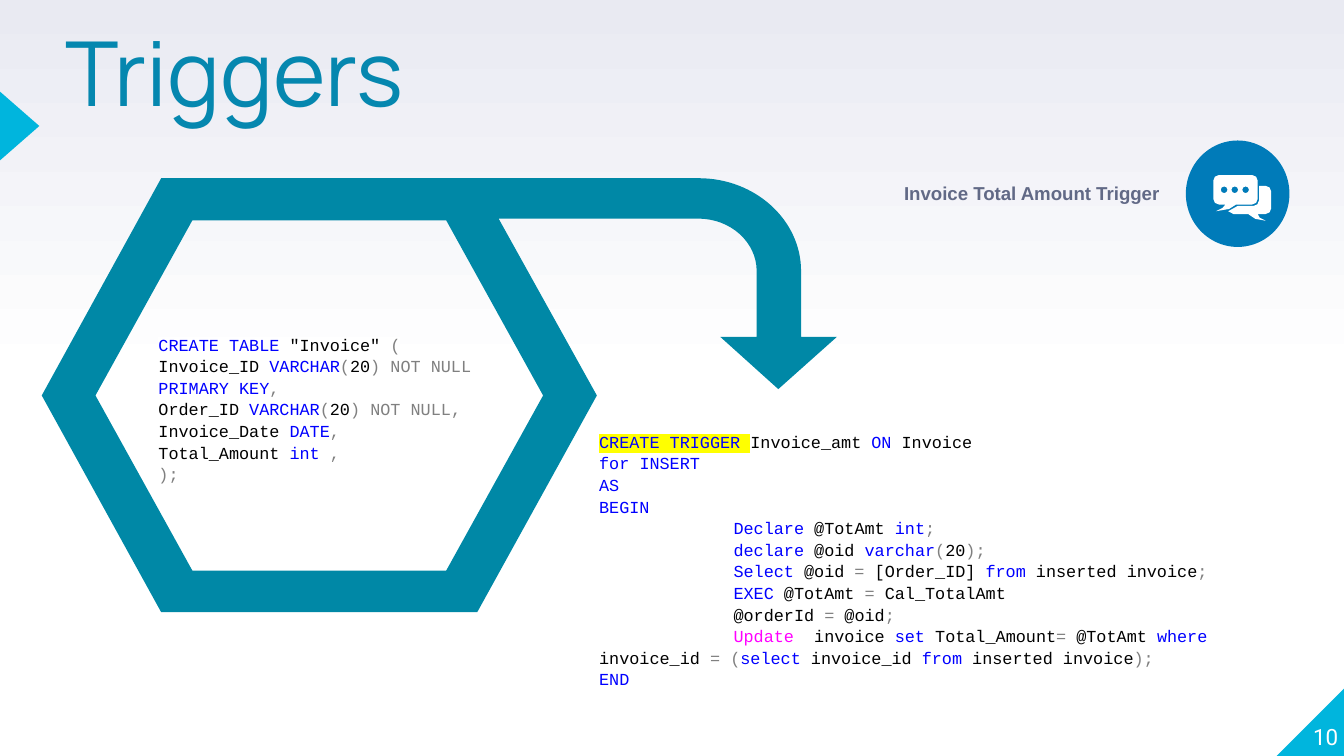
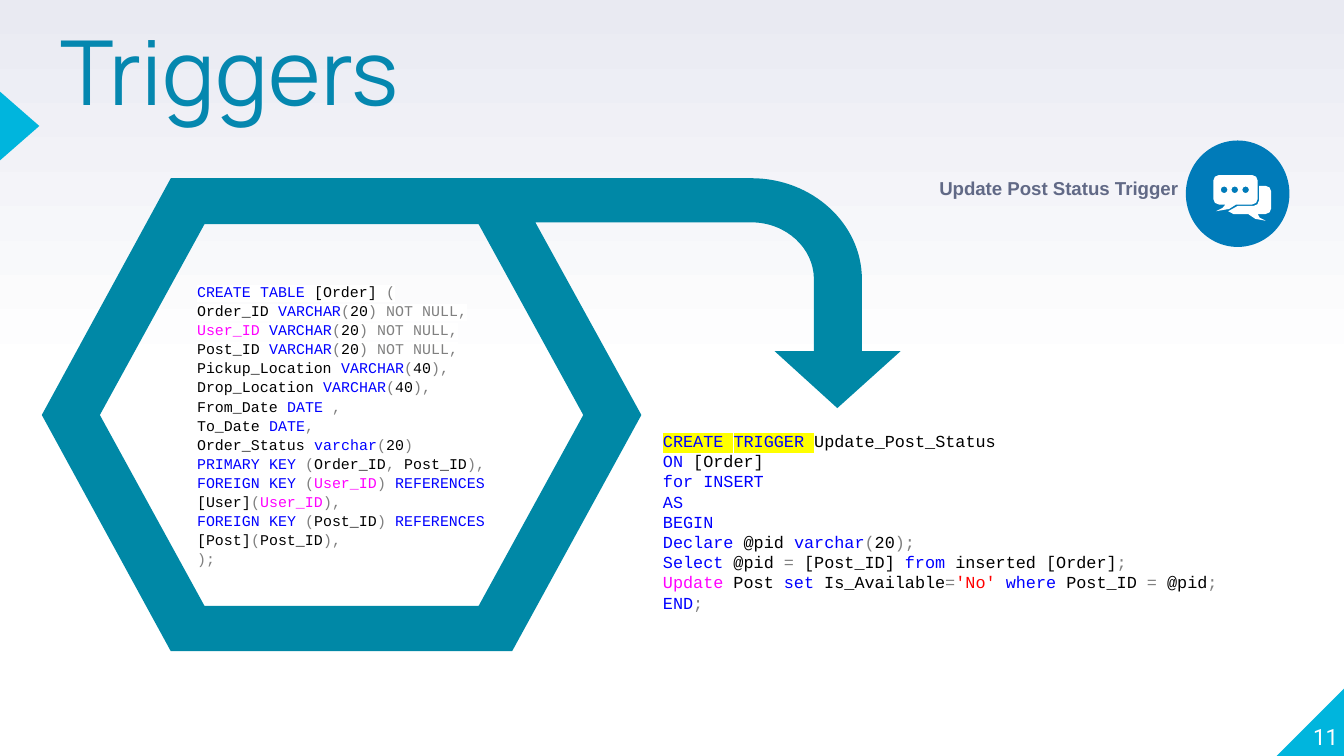
import itertools
import math

from lxml import etree
from pptx import Presentation
from pptx import util as u
from pptx.dml.color import RGBColor
from pptx.enum import shapes, text
from pptx.oxml import ns

Pt = u.Pt
WHITE = RGBColor(0xFF, 0xFF, 0xFF)
HAZE = RGBColor(0xE9, 0xEA, 0xF2)
CYAN = RGBColor(0x00, 0xB5, 0xDD)
TEAL = RGBColor(0x00, 0x88, 0xA6)
AZURE = RGBColor(0x00, 0x7B, 0xB9)
TITLE = RGBColor(0x05, 0x87, 0xAF)
SLATE = RGBColor(0x61, 0x69, 0x86)
BLACK = RGBColor(0x00, 0x00, 0x00)
BLUE = RGBColor(0x00, 0x00, 0xFF)
GREY = RGBColor(0x80, 0x80, 0x80)
PINK = RGBColor(0xFF, 0x00, 0xFF)
RED = RGBColor(0xFF, 0x00, 0x00)
YELLOW = RGBColor(0xFF, 0xFF, 0x00)

# Syntax colours of the SQL words; all other words are black
SIGNS = "(),;="
BLUES = """CREATE TABLE TRIGGER PRIMARY FOREIGN KEY REFERENCES VARCHAR varchar
DATE int ON for INSERT AS BEGIN END Declare declare Select select from EXEC
set where"""
TINTS = dict.fromkeys(BLUES.split(), BLUE)
TINTS.update({"NOT": GREY, "NULL": GREY, "Update": PINK, "User_ID": PINK,
              "'No'": RED})

# What differs between the slides; boxes are left, top, width, height
PAGES = [
    {
        "num": "10",
        "title": (22.6, 20.2, 206, 46.8),
        "scale": (1, 1),
        "label": ("Invoice Total Amount Trigger", (473.3, 94, 154.8, 19.4)),
        "table": ((77.8, 174.8, 206, 88.6), 9, 1.07, """\
CREATE TABLE "Invoice" (
Invoice_ID VARCHAR(20) NOT NULL PRIMARY KEY,
Order_ID VARCHAR(20) NOT NULL,
Invoice_Date DATE,
Total_Amount int ,
);"""),
        "trigger": ((313.9, 226.9, 367.2, 146.9), 9, 1.07, """\
CREATE TRIGGER Invoice_amt ON Invoice
for INSERT
AS
BEGIN
\tDeclare @TotAmt int;
\tdeclare @oid varchar(20);
\tSelect @oid = [Order_ID] from inserted invoice;
\tEXEC @TotAmt = Cal_TotalAmt
\t@orderId = @oid;
\tUpdate  invoice set Total_Amount= @TotAmt where invoice_id = \
(select invoice_id from inserted invoice);
END"""),
    },
    {
        "num": "11",
        "title": (22.3, 19.8, 201.6, 46.8),
        "scale": (1.08, 1.09),
        "label": ("Update Post Status Trigger", (493.4, 91.1, 144.7, 19.4)),
        "table": ((98.5, 147.2, 199.4, 162.7), 8, 1.07, """\
CREATE TABLE [Order] (
Order_ID VARCHAR(20) NOT NULL,
User_ID VARCHAR(20) NOT NULL,
Post_ID VARCHAR(20) NOT NULL,
Pickup_Location VARCHAR(40),
Drop_Location VARCHAR(40),
From_Date DATE ,
To_Date DATE,
Order_Status varchar(20)
PRIMARY KEY (Order_ID, Post_ID),
FOREIGN KEY (User_ID) REFERENCES [User](User_ID),
FOREIGN KEY (Post_ID) REFERENCES [Post](Post_ID),
);"""),
        "trigger": ((348.1, 227.2, 360, 105.1), 9, 1, """\
CREATE TRIGGER Update_Post_Status
ON [Order]
for INSERT
AS
BEGIN
Declare @pid varchar(20);
Select @pid = [Post_ID] from inserted [Order];
Update Post set Is_Available='No' where Post_ID = @pid;
END;"""),
    },
]


def arc(x, y, rx, ry, start, turns=1):
    """Start point and Bézier points of quarter turns; first ones are tagged."""
    step = math.copysign(90, turns)
    bend = math.copysign(0.55, turns)
    spots = []
    for i in range(abs(turns) + 1):
        t = math.radians(start + step * i)
        c, s = math.cos(t), math.sin(t)
        if i:
            spots.append((x + rx * (c + bend * s), y + ry * (s - bend * c)))
        spots.append((x + rx * c, y + ry * s))
        if i < abs(turns):
            spots.append((x + rx * (c - bend * s), y + ry * (s + bend * c),
                          "curve"))
    return spots


def trace(slide, rings, left, top, kx, ky, fill):
    """Draw closed outlines as one shape, moved and scaled."""
    pen = None
    for ring in rings:
        dots = [(Pt(left + kx * p[0]), Pt(top + ky * p[1])) for p in ring]
        if pen is None:
            pen = slide.shapes.build_freeform(*dots[0])
        else:
            pen.move_to(*dots[0])
        pen.add_line_segments(dots[1:])
    form = pen.convert_to_shape()
    # Join each tagged point and the next two into one curve
    legs = list(form._element.iter(ns.qn("a:lnTo")))
    tags = [len(p) == 3 for ring in rings for p in ring[1:]]
    for i, curved in enumerate(tags):
        if curved:
            legs[i].tag = ns.qn("a:cubicBezTo")
            for leg in legs[i + 1:i + 3]:
                legs[i].append(leg[0])
                leg.getparent().remove(leg)
    form.shadow.inherit = False
    form.fill.solid()
    form.fill.fore_color.rgb = fill
    form.line.fill.background()


# Hexagon frame that runs into a bent arrow
FRAME = [
    [(64, 0), *arc(352, 49.7, 54.8, 49.7, -90), (406.8, 85), (426, 85),
     (394.6, 113), (363.5, 85), (383, 85), *arc(352, 49.7, 31, 28, 0, -1),
     (244.8, 21.7), (297.4, 116.4), (233.3, 232.5), (64, 232.5), (0, 116.4)],
    [(80.7, 22.6), (28.8, 116.4), (80.7, 210.2), (216.7, 210.2),
     (268.6, 116.4), (216.7, 22.6)],
]

# Two speech bubbles, the front one with three dots
CHAT = [
    [*arc(3, 3, 3, 3, 180), *arc(20.8, 3, 3, 3, -90),
     *arc(20.8, 12.8, 3, 3, 0), (12.2, 15.8), (8.5, 18.2), (1.4, 19.4),
     (5, 17.6), (6.5, 15.8), *arc(3, 12.8, 3, 3, 90)],
    [(24.5, 5.8), *arc(28, 8.8, 3, 3, -90), *arc(28, 17.9, 3, 3, 0),
     (23.8, 20.9), (24.8, 22.8), (28.1, 24.5), (22.5, 23.5), (18.7, 20.9),
     (10.8, 20.9), (8, 19.4), (13, 16.6), *arc(21.5, 13.6, 3, 3, 90, -1)],
    *[arc(x, 7.9, 1.8, 1.8, 0, -4) for x in (5.8, 11.5, 17.3)],
]

deck = Presentation()
deck.slide_width, deck.slide_height = Pt(720), Pt(405)

# Background: white below, haze at the top
back = deck.slide_master.background.fill
back.gradient()
back.gradient_angle = 90
for stop, place, tint in zip(back.gradient_stops, (0.5, 1), (WHITE, HAZE)):
    stop.position = place
    stop.color.rgb = tint

PRESET = shapes.MSO_SHAPE
ALIGN = text.PP_ALIGN
ANCHOR = text.MSO_ANCHOR
GROW = text.MSO_AUTO_SIZE.SHAPE_TO_FIT_TEXT

for page in PAGES:
    slide = deck.slides.add_slide(deck.slide_layouts[6])

    # Corner, side marker and icon disc
    for kind, spot, tint, turn, flip in (
            (PRESET.RIGHT_TRIANGLE, (684, 368.2, 36.7, 36.7), CYAN, 0, True),
            (PRESET.ISOSCELES_TRIANGLE, (-7.8, 57, 36.7, 21), CYAN, 90, False),
            (PRESET.OVAL, (635.3, 75.3, 55.5, 57), AZURE, 0, False)):
        mark = slide.shapes.add_shape(kind, *map(Pt, spot))
        mark.shadow.inherit = False
        mark.fill.solid()
        mark.fill.fore_color.rgb = tint
        mark.line.fill.background()
        mark.rotation = turn
        if flip:
            mark._element.spPr.xfrm.set("flipH", "1")

    trace(slide, FRAME, 22.4, 95.5, *page["scale"], TEAL)
    trace(slide, CHAT, 650, 93.8, 1, 1, WHITE)

    # Page number, title and label
    label, spot = page["label"]
    for words, place, font, size, tint, align in (
            (page["num"], (681, 365, 36, 36.7), "Roboto", 12, WHITE,
             ALIGN.RIGHT),
            ("Triggers", page["title"], "Manrope", 48, TITLE, ALIGN.CENTER),
            (label, spot, "Arial", 10, SLATE, ALIGN.RIGHT)):
        box = slide.shapes.add_textbox(*map(Pt, place))
        frame = box.text_frame
        frame.text = words
        frame.word_wrap = words != label
        if words == label:
            frame.auto_size = GROW
        else:
            frame.margin_left = frame.margin_right = 0
            frame.margin_top = frame.margin_bottom = 0
        if words == page["num"]:
            frame.vertical_anchor = ANCHOR.BOTTOM
        para = frame.paragraphs[0]
        para.alignment = align
        if words == "Triggers":
            para.line_spacing = 0.8
        face = para.runs[0].font
        face.name, face.size = font, Pt(size)
        face.color.rgb = tint
        if words == label:
            face.bold = True

    # SQL code
    for part in ("table", "trigger"):
        place, size, space, code = page[part]
        box = slide.shapes.add_textbox(*map(Pt, place))
        if part == "trigger":
            box.fill.solid()
            box.fill.fore_color.rgb = WHITE
        frame = box.text_frame
        frame.word_wrap = True
        frame.auto_size = GROW
        lines = code.split("\n")
        for row, line in enumerate(lines):
            para = frame.paragraphs[0] if row == 0 else frame.add_paragraph()
            para.line_spacing = space
            if row == len(lines) - 1 and space > 1:
                para.space_after = Pt(8)
            if line.startswith("\t"):
                tabs = etree.SubElement(para._p.get_or_add_pPr(),
                                        ns.qn("a:tabLst"))
                etree.SubElement(tabs, ns.qn("a:tab"), pos=str(Pt(72)),
                                 algn="l")
            # Colour each word; CREATE TRIGGER is marked in yellow
            chunks = []
            for col, (kind, chars) in enumerate(itertools.groupby(
                    line, lambda c: "sign" if c in SIGNS else c.isspace())):
                word = "".join(chars)
                tint = GREY if kind == "sign" else TINTS.get(word, BLACK)
                lit = part == "trigger" and row == 0 and col < 4
                chunks.append((tint, YELLOW if lit else WHITE, word))
            # Neighbours of the same look share a run
            for (tint, glow), same in itertools.groupby(
                    chunks, lambda chunk: chunk[:2]):
                run = para.add_run()
                run.text = "".join(chunk[2] for chunk in same)
                face = run.font
                face.name, face.size = "Courier New", Pt(size)
                face.color.rgb = tint
                light = etree.Element(ns.qn("a:highlight"))
                etree.SubElement(light, ns.qn("a:srgbClr"), val=str(glow))
                props = run._r.get_or_add_rPr()
                props.find(ns.qn("a:solidFill")).addnext(light)

deck.save("out.pptx")
